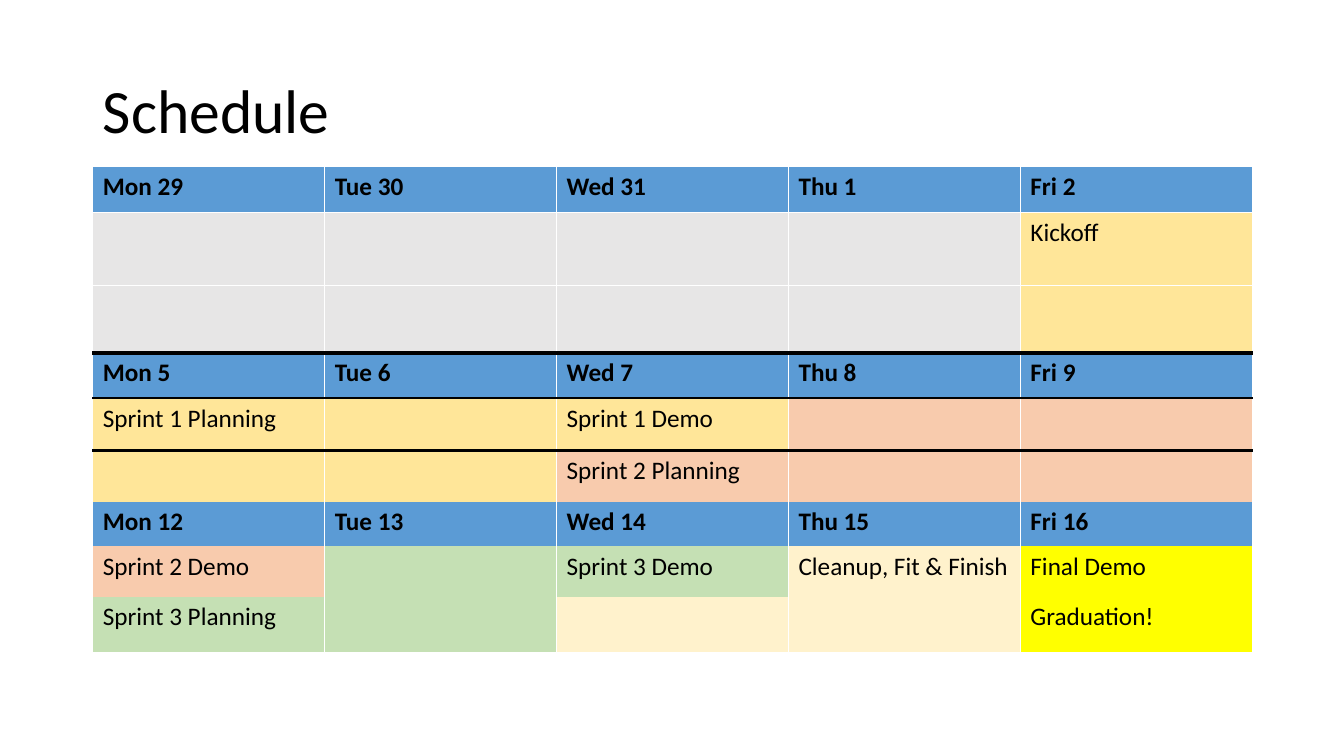
from dataclasses import dataclass

from lxml import etree
from pptx import Presentation
from pptx import util as u
from pptx.dml.color import RGBColor
from pptx.enum import text
from pptx.oxml import ns

FONT = "Calibri"
COLORS = {
    "ink": "000000",
    "paper": "FFFFFF",
    "header": "5B9BD5",
    "off": "E7E6E6",
    "sprint 1": "FFE699",
    "sprint 2": "F8CBAD",
    "sprint 3": "C5E0B4",
    "cleanup": "FFF2CC",
    "final": "FFFF00",
}
NO_GRID_STYLE = "{2D5ABB26-0587-4C30-8999-92F81FD0307C}"
COLUMN_WIDTH = 2.3


@dataclass(frozen=True)
class Entry:
    phase: str
    label: str = ""


@dataclass(frozen=True)
class Band:
    height: float
    entries: list[Entry]


@dataclass(frozen=True)
class Rule:
    color: str
    points: float


def header(height: float, dates: list[int]) -> Band:
    days = ("Mon", "Tue", "Wed", "Thu", "Fri")
    return Band(height, [Entry("header", f"{day} {date}") for day, date in zip(days, dates)])


OFF, S1, S2 = Entry("off"), Entry("sprint 1"), Entry("sprint 2")
S3, CLEANUP = Entry("sprint 3"), Entry("cleanup")

BANDS = [
    # Kickoff week
    header(0.46, [29, 30, 31, 1, 2]),
    Band(0.72, [OFF] * 4 + [Entry("sprint 1", "Kickoff")]),
    Band(0.67, [OFF] * 4 + [S1]),
    # Sprints 1 and 2
    header(0.45, [5, 6, 7, 8, 9]),
    Band(0.52, [Entry("sprint 1", "Sprint 1 Planning"), S1,
                Entry("sprint 1", "Sprint 1 Demo"), S2, S2]),
    Band(0.51, [S1, S1, Entry("sprint 2", "Sprint 2 Planning"), S2, S2]),
    # Sprint 3 and graduation
    header(0.44, [12, 13, 14, 15, 16]),
    Band(0.5, [Entry("sprint 2", "Sprint 2 Demo"), S3, Entry("sprint 3", "Sprint 3 Demo"),
               Entry("cleanup", "Cleanup, Fit & Finish"), Entry("final", "Final Demo")]),
    Band(0.56, [Entry("sprint 3", "Sprint 3 Planning"), S3, CLEANUP, CLEANUP,
                Entry("final", "Graduation!")]),
]

# Horizontal rules, keyed by the number of rows above them
THIN = Rule("paper", 1)
ROW_RULES = {0: THIN, 1: THIN, 3: Rule("ink", 3), 4: Rule("ink", 2.25), len(BANDS): THIN}


def rgb(name: str) -> RGBColor:
    return RGBColor.from_string(COLORS[name])


def style_run(run, size: float, bold: bool = False) -> None:
    run.font.name = FONT
    run.font.size = u.Pt(size)
    run.font.bold = bold
    run.font.color.rgb = rgb("ink")


def set_borders(cell, row: int) -> None:
    edges = {"lnL": THIN, "lnR": THIN, "lnT": ROW_RULES.get(row), "lnB": ROW_RULES.get(row + 1)}
    drawn = [(tag, rule) for tag, rule in edges.items() if rule]
    properties = cell._tc.get_or_add_tcPr()
    for position, (tag, rule) in enumerate(drawn):
        line = etree.Element(ns.qn(f"a:{tag}"), w=str(u.Pt(rule.points)))
        fill = etree.SubElement(line, ns.qn("a:solidFill"))
        etree.SubElement(fill, ns.qn("a:srgbClr"), val=COLORS[rule.color])
        properties.insert(position, line)


def fill_cell(cell, entry: Entry, row: int) -> None:
    cell.fill.solid()
    cell.fill.fore_color.rgb = rgb(entry.phase)
    set_borders(cell, row)
    if entry.label:
        cell.text_frame.text = entry.label
        style_run(cell.text_frame.paragraphs[0].runs[0], 18, entry.phase == "header")


def add_heading(slide) -> None:
    heading = slide.shapes.title
    heading.left, heading.top = u.Inches(0.92), u.Inches(0.4)
    heading.width, heading.height = u.Inches(11.5), u.Inches(1.45)
    frame = heading.text_frame
    frame.text = "Schedule"
    frame.auto_size = text.MSO_AUTO_SIZE.NONE
    frame.vertical_anchor = text.MSO_ANCHOR.MIDDLE
    paragraph = frame.paragraphs[0]
    paragraph.alignment = text.PP_ALIGN.LEFT
    paragraph.line_spacing = 0.9
    style_run(paragraph.runs[0], 44)


def add_calendar(slide) -> None:
    days = len(BANDS[0].entries)
    height = sum(band.height for band in BANDS)
    calendar = slide.shapes.add_table(
        len(BANDS), days, u.Inches(0.92), u.Inches(1.65),
        u.Inches(COLUMN_WIDTH * days), u.Inches(height)).table
    calendar.first_row = calendar.horz_banding = False
    calendar._tbl.tblPr.find(ns.qn("a:tableStyleId")).text = NO_GRID_STYLE
    for column in calendar.columns:
        column.width = u.Inches(COLUMN_WIDTH)
    for row, band in enumerate(BANDS):
        calendar.rows[row].height = u.Inches(band.height)
        for day, entry in enumerate(band.entries):
            fill_cell(calendar.cell(row, day), entry, row)


def main() -> None:
    deck = Presentation()
    deck.slide_width, deck.slide_height = u.Inches(13.33), u.Inches(7.5)
    title_only = deck.slide_layouts[5]
    slide = deck.slides.add_slide(title_only)
    add_heading(slide)
    add_calendar(slide)
    deck.save("out.pptx")


if __name__ == "__main__":
    main()
